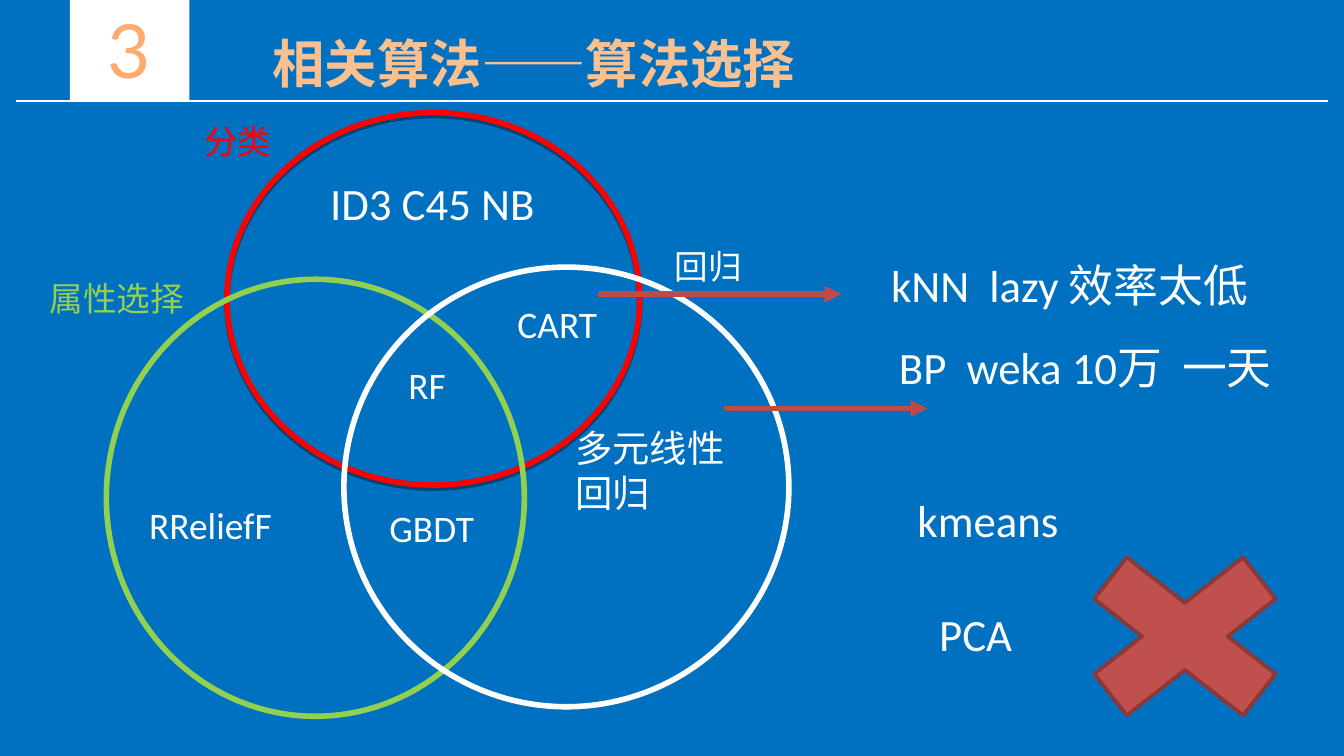
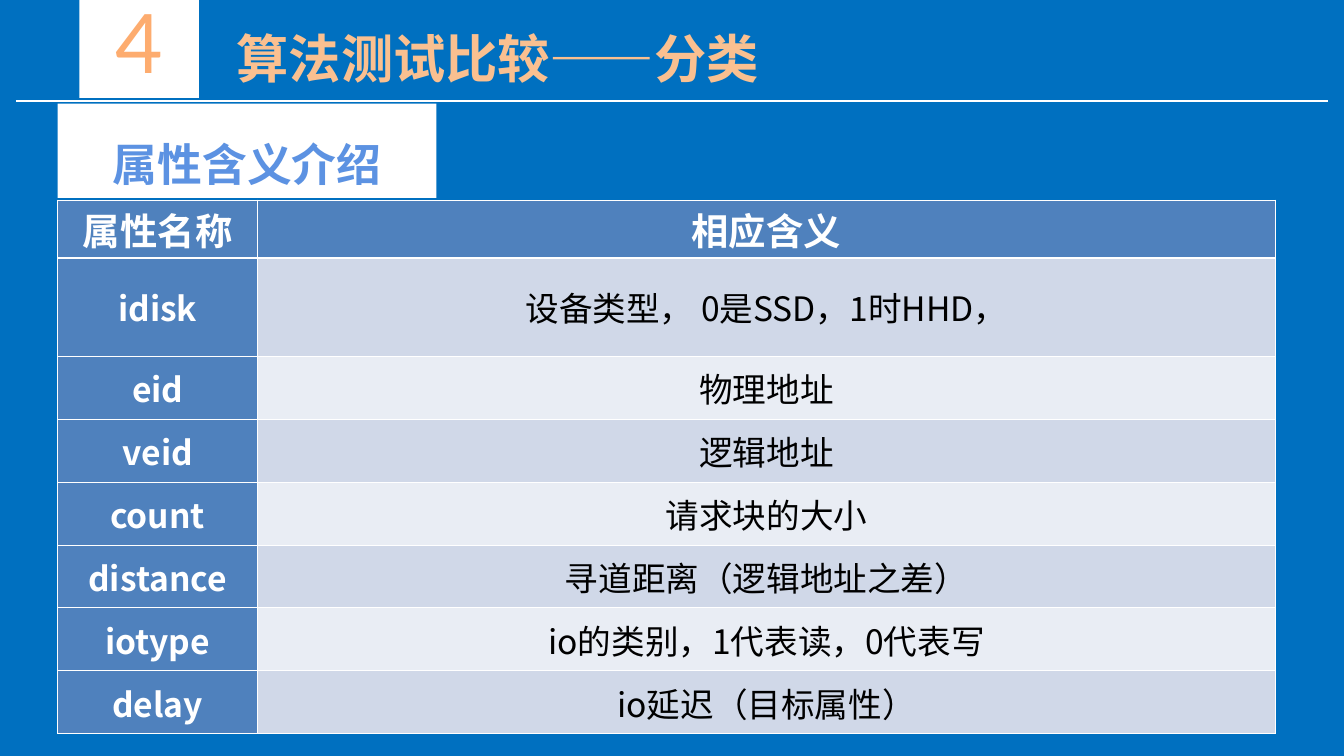
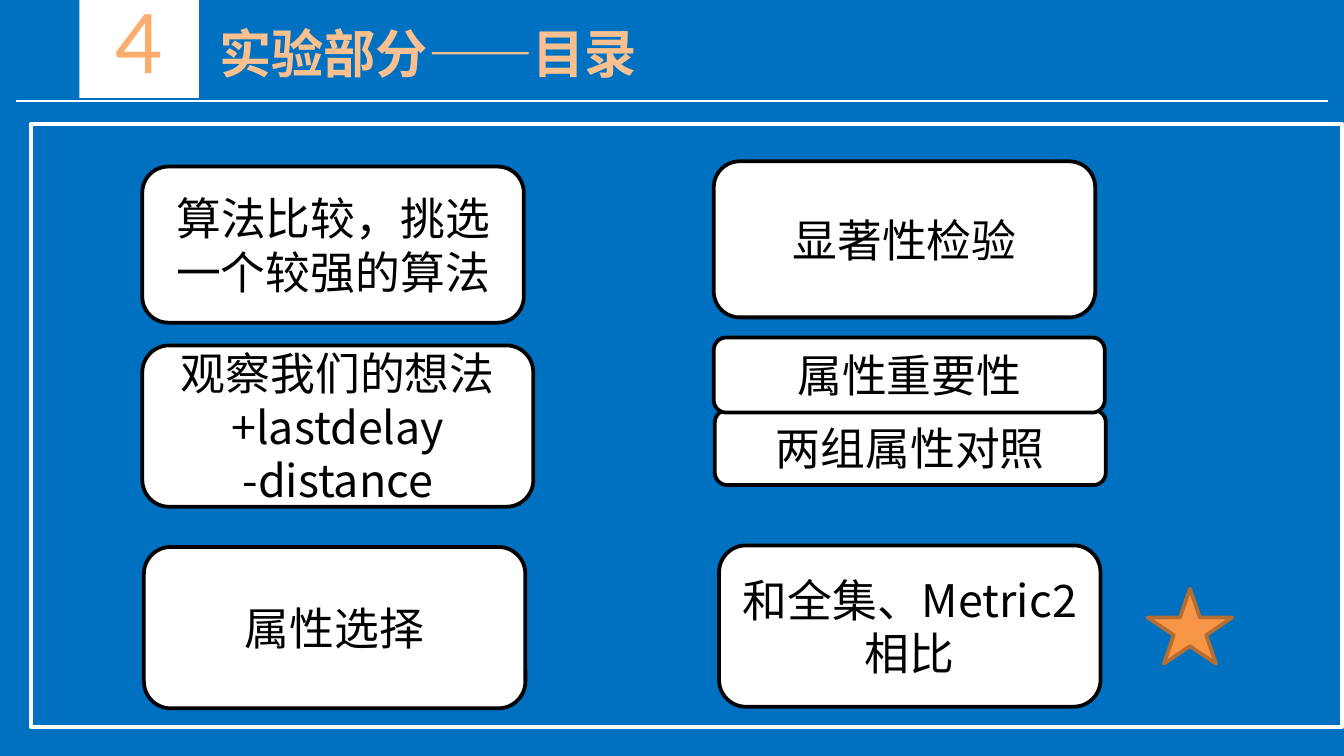
from dataclasses import dataclass
from itertools import product

from lxml import etree
from pptx import Presentation, util as u
from pptx.dml.color import RGBColor
from pptx.enum import shapes, text
from pptx.oxml.ns import qn

Kind = shapes.MSO_SHAPE
Align = text.PP_ALIGN
Anchor = text.MSO_ANCHOR


# Theme: colours, fonts and type sizes
@dataclass(frozen=True)
class Theme:
    back: str = "0070C0"
    white: str = "FFFFFF"
    black: str = "000000"
    title: str = "FAC090"
    badge: str = "FDAC6F"
    red: str = "FF0000"
    green: str = "92D050"
    arrow: str = "BE4B48"
    cross: str = "C0504D"
    cross_edge: str = "8C3836"
    star: str = "F79646"
    star_edge: str = "B66D31"
    tag: str = "5C92E2"
    head: str = "4F81BD"
    bands: tuple = ("E9EDF4", "D0D8E8")
    sans: str = "Noto Sans CJK SC"
    plain: str = "Calibri"
    digit: str = "Lato"
    small: int = 18
    mid: int = 20
    big: int = 24
    huge: int = 28
    badge_small: int = 40
    badge_big: int = 44


T = Theme()


@dataclass(frozen=True)
class Box:
    """Left, top, width and height in centimetres."""
    x: float
    y: float
    w: float
    h: float

    def place(self) -> tuple:
        return tuple(u.Cm(n) for n in (self.x, self.y, self.w, self.h))


@dataclass(frozen=True)
class Style:
    size: int
    font: str = T.sans
    color: str = T.black
    bold: bool = False
    align: Align = Align.LEFT
    space: float = 1.0


@dataclass(frozen=True)
class Label:
    words: str
    box: Box
    size: int = T.mid
    color: str = T.white
    space: float = 1.0


@dataclass(frozen=True)
class Ring:
    box: Box
    color: str
    shade: bool = False


@dataclass(frozen=True)
class Arrow:
    start: float
    end: float
    y: float


@dataclass(frozen=True)
class Card:
    lines: tuple
    box: Box


@dataclass(frozen=True)
class Header:
    title: str
    box: Box
    digit: str = "4"
    badge: Box = Box(1.5, -0.28, 2.26, 2.13)
    size: int = T.badge_big


# Shared drawing helpers
def rgb(code: str) -> RGBColor:
    return RGBColor.from_string(code)


def child(node, tag: str, **attrs):
    return etree.SubElement(node, qn(tag), attrs)


def write(frame, lines: tuple, style: Style) -> None:
    for i, line in enumerate(lines):
        para = frame.add_paragraph() if i else frame.paragraphs[0]
        para.alignment = style.align
        para.line_spacing = style.space
        run = para.add_run()
        run.text = line
        font = run.font
        font.name, font.size, font.bold = style.font, u.Pt(style.size), style.bold
        font.color.rgb = rgb(style.color)
        face = T.sans if style.font == T.plain else style.font
        child(run._r.get_or_add_rPr(), "a:ea", typeface=face)


def shape(slide, kind: Kind, box: Box, fill: str = "", line: str = "", width: float = 2):
    item = slide.shapes.add_shape(kind, *box.place())
    item.shadow.inherit = False
    if fill:
        item.fill.solid()
        item.fill.fore_color.rgb = rgb(fill)
    else:
        item.fill.background()
    if line:
        item.line.color.rgb = rgb(line)
        item.line.width = u.Pt(width)
    else:
        item.line.fill.background()
    return item


def panel(slide, box: Box, words: str, style: Style) -> None:
    item = shape(slide, Kind.RECTANGLE, box, T.white)
    item.text_frame.vertical_anchor = Anchor.TOP
    write(item.text_frame, (words,), style)


def stroke(slide, start: float, end: float, y: float, color: str, width: float):
    ends = (u.Cm(n) for n in (start, y, end, y))
    item = slide.shapes.add_connector(shapes.MSO_CONNECTOR.STRAIGHT, *ends)
    item.line.color.rgb = rgb(color)
    item.line.width = u.Pt(width)
    child(item._element.spPr, "a:effectLst")
    return item


def page(deck, head: Header):
    slide = deck.slides.add_slide(deck.slide_layouts.get_by_name("Title Only"))
    title = slide.shapes.title
    title.left, title.top, title.width, title.height = head.box.place()
    frame = title.text_frame
    frame.auto_size = text.MSO_AUTO_SIZE.NONE
    frame.vertical_anchor = Anchor.TOP
    write(frame, (head.title,), Style(T.huge, color=T.title, bold=True))
    panel(slide, head.badge, head.digit,
          Style(head.size, T.digit, T.badge, align=Align.CENTER))
    stroke(slide, 0.3, 25.1, 1.91, T.white, 1.5)
    return slide


# Slide 1: overlapping families of algorithms
def draw_ring(slide, ring: Ring) -> None:
    item = shape(slide, Kind.OVAL, ring.box, line=ring.color, width=3)
    if ring.shade:
        effects = item._element.spPr.find(qn("a:effectLst"))
        shade = child(effects, "a:outerShdw", blurRad="0", dist="20000",
                      dir="5400000", rotWithShape="0")
        child(child(shade, "a:srgbClr", val=T.black), "a:alpha", val="38000")


def draw_label(slide, label: Label) -> None:
    frame = slide.shapes.add_textbox(*label.box.place()).text_frame
    frame.word_wrap = True
    write(frame, (label.words,),
          Style(label.size, T.plain, label.color, space=label.space))


def draw_arrow(slide, arrow: Arrow) -> None:
    item = stroke(slide, arrow.start, arrow.end, arrow.y, T.arrow, 3)
    child(item.line._get_or_add_ln(), "a:tailEnd", type="triangle")


RINGS = (
    Ring(Box(4.29, 2.13, 7.8, 7.04), T.red, True),
    Ring(Box(2.01, 5.28, 7.9, 8.26), T.green),
    Ring(Box(6.5, 5.05, 8.41, 8.31), T.white),
)
LABELS = (
    Label("分类", Box(3.61, 2.16, 3.8, 1.02), T.small, T.red),
    Label("回归", Box(12.5, 4.52, 3.8, 1.02), T.small),
    Label("属性选择", Box(0.69, 5.13, 3.8, 1.02), T.small, T.green),
    Label("CART", Box(9.53, 5.56, 2.21, 1.12)),
    Label("ID3 C45 NB", Box(5.99, 3.2, 4.62, 1.27), T.big),
    Label("GBDT", Box(7.11, 9.42, 2.21, 1.12)),
    Label("RF", Box(7.47, 6.73, 2.21, 1.12)),
    Label("RReliefF", Box(2.57, 9.37, 2.95, 1.12)),
    Label("多元线性回归", Box(10.62, 7.92, 3.68, 1.96)),
    Label("BP  weka 10万  一天", Box(16.74, 6.0, 7.65, 2.94), T.big, space=1.3),
    Label("kmeans", Box(17.09, 9.19, 7.65, 1.27), T.big),
    Label("kNN  lazy 效率太低", Box(16.59, 4.75, 7.65, 1.27), T.big),
    Label("PCA", Box(17.5, 11.35, 7.65, 1.27), T.big),
)
ARROWS = (Arrow(11.3, 15.9, 5.56), Arrow(13.69, 17.53, 7.72))


def choice(deck) -> None:
    slide = page(deck, Header("相关算法——算法选择", Box(4.9, 0.46, 19.48, 1.45),
                              "3", Box(1.32, -0.05, 2.26, 1.96), T.badge_small))
    for ring in RINGS:
        draw_ring(slide, ring)
    for label in LABELS:
        draw_label(slide, label)
    for arrow in ARROWS:
        draw_arrow(slide, arrow)
    shape(slide, Kind.MATH_MULTIPLY, Box(19.69, 9.91, 5.41, 4.24),
          T.cross, T.cross_edge)


# Slide 2: table of attributes
ROWS = (
    ("属性名称", "相应含义"),
    ("idisk", "设备类型， 0是SSD，1时HHD，"),
    ("eid", "物理地址"),
    ("veid", "逻辑地址"),
    ("count", "请求块的大小"),
    ("distance", "寻道距离（逻辑地址之差）"),
    ("iotype", "io的类别，1代表读，0代表写"),
    ("delay", "io延迟（目标属性）"),
)
WIDTHS = (3.78, 19.23)
HEIGHTS = (1.1, 1.85) + (1.19,) * 6


def border(cell, side: str, width: float) -> None:
    line = child(cell._tc.get_or_add_tcPr(), f"a:ln{side}", w=str(u.Pt(width)))
    child(child(line, "a:solidFill"), "a:srgbClr", val=T.white)


def draw_cell(cell, row: int, col: int) -> None:
    thick = {(0, "B"), (1, "T")}
    for side in "LRTB":
        border(cell, side, 1.47 if (row, side) in thick else 0.45)
    head = row == 0 or col == 0
    cell.fill.solid()
    cell.fill.fore_color.rgb = rgb(T.head if head else T.bands[row % 2])
    cell.margin_left = cell.margin_right = u.Cm(0.18)
    cell.margin_top = cell.margin_bottom = u.Cm(0.13 if row else 0)
    cell.vertical_anchor = Anchor.MIDDLE
    write(cell.text_frame, (ROWS[row][col],),
          Style(T.small if row else T.mid, color=T.white if head else T.black,
                bold=head, align=Align.CENTER))


def fields(deck) -> None:
    slide = page(deck, Header("算法测试比较——分类", Box(4.22, 0.36, 14.73, 1.45)))
    area = Box(1.09, 3.78, sum(WIDTHS), sum(HEIGHTS))
    table = slide.shapes.add_table(len(ROWS), len(WIDTHS), *area.place()).table
    for col, width in zip(table.columns, WIDTHS):
        col.width = u.Cm(width)
    for row, height in zip(table.rows, HEIGHTS):
        row.height = u.Cm(height)
    for row, col in product(range(len(ROWS)), range(len(WIDTHS))):
        draw_cell(table.cell(row, col), row, col)
    panel(slide, Box(1.09, 1.96, 7.16, 1.78), "属性含义介绍",
          Style(T.big, color=T.tag, bold=True, align=Align.CENTER, space=1.5))


# Slide 3: contents of the experiments
CARDS = (
    Card(("算法比较，挑选一个较强的算法",), Box(2.69, 3.15, 7.21, 2.95)),
    Card(("观察我们的想法", "+lastdelay", "-distance"), Box(2.69, 6.53, 7.39, 3.05)),
    Card(("属性选择",), Box(2.72, 10.34, 7.21, 3.05)),
    Card(("显著性检验",), Box(13.49, 3.05, 7.21, 2.95)),
    Card(("两组属性对照",), Box(13.51, 7.75, 7.39, 1.42)),
    Card(("和全集、Metric2相比",), Box(13.59, 10.31, 7.21, 3.05)),
    Card(("属性重要性",), Box(13.49, 6.38, 7.39, 1.42)),
)


def draw_card(slide, card: Card) -> None:
    item = shape(slide, Kind.ROUNDED_RECTANGLE, card.box, T.white, T.black)
    write(item.text_frame, card.lines, Style(T.big, align=Align.CENTER))


def topics(deck) -> None:
    slide = page(deck, Header("实验部分——目录", Box(3.89, 0.28, 14.73, 1.45)))
    shape(slide, Kind.RECTANGLE, Box(0.58, 2.34, 24.79, 11.4), line=T.white)
    for card in CARDS:
        draw_card(slide, card)
    shape(slide, Kind.STAR_5_POINT, Box(21.69, 11.13, 1.6, 1.42),
          T.star, T.star_edge)


def main() -> None:
    deck = Presentation()
    deck.slide_width, deck.slide_height = u.Cm(25.4), u.Cm(14.29)
    fill = deck.slide_master.background.fill
    fill.solid()
    fill.fore_color.rgb = rgb(T.back)
    for build in (choice, fields, topics):
        build(deck)
    deck.save("out.pptx")


if __name__ == "__main__":
    main()
